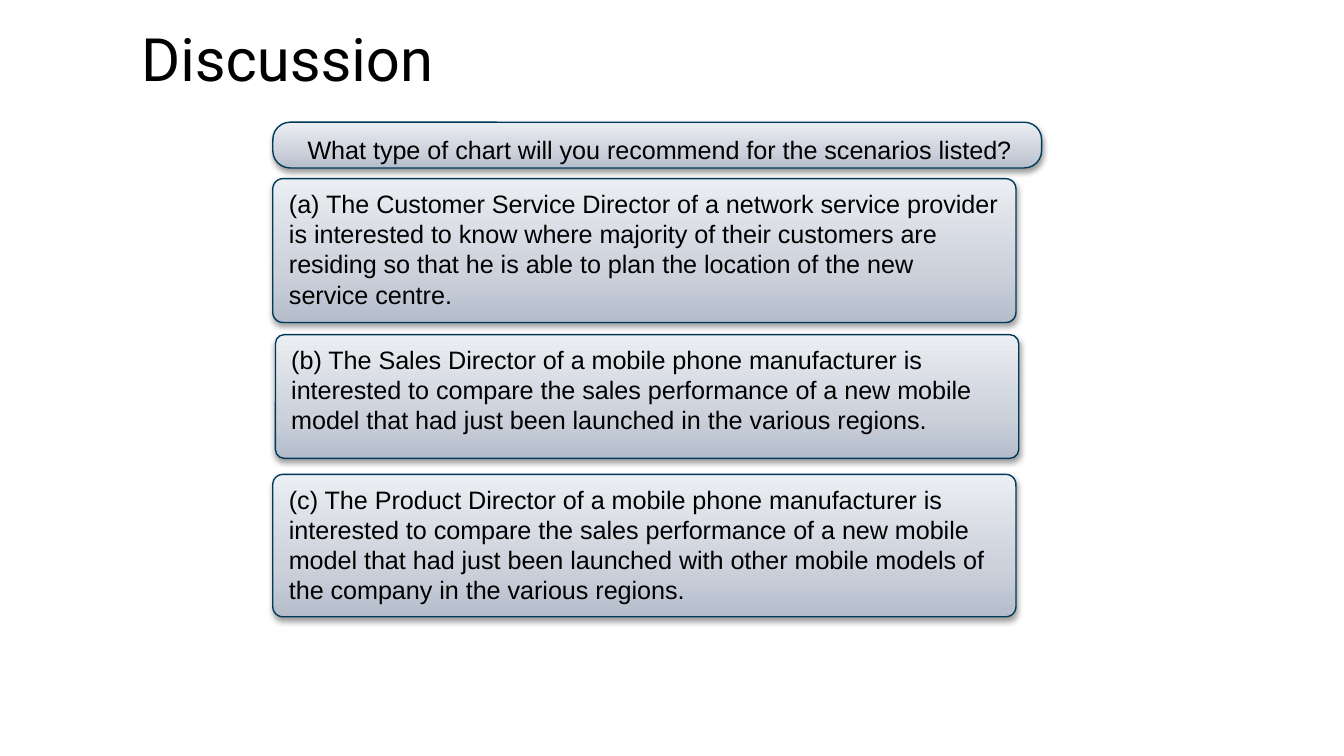
import copy

import pptx
import pptx.dml.color
import pptx.enum.shapes
import pptx.enum.text
import pptx.oxml
import pptx.oxml.ns
import pptx.util
from pptx.util import Inches

THEME = {
    "text": pptx.dml.color.RGBColor.from_string("000000"),
    "outline": pptx.dml.color.RGBColor.from_string("003A5A"),
    "gradient": [(0, "B5BDCC"), (0.35, "CCD1DB"), (1, "EBEEF2")],
    "title_font": "Roboto",
    "body_font": "Arial",
    "title_size": pptx.util.Pt(32),
    "body_size": pptx.util.Pt(13.5),
}

SHADOW = (
    f'<a:outerShdw {pptx.oxml.ns.nsdecls("a")} blurRad="39370" dist="20320" '
    'dir="5400000" rotWithShape="0"><a:srgbClr val="000000">'
    '<a:alpha val="38000"/></a:srgbClr></a:outerShdw>'
)


def add_panel(left, top, width, height, rounding):
    """Add a rounded panel with the shared gradient, outline and soft shadow."""
    panel = slide.shapes.add_shape(
        pptx.enum.shapes.MSO_SHAPE.ROUNDED_RECTANGLE,
        Inches(left), Inches(top), Inches(width), Inches(height))
    panel.adjustments[0] = rounding
    panel.line.color.rgb = THEME["outline"]
    panel.line.width = pptx.util.Pt(0.75)

    panel.fill.gradient()
    panel.fill.gradient_angle = 90
    properties = panel.element.spPr
    stop_list = properties.find(".//" + pptx.oxml.ns.qn("a:gsLst"))
    stop_list.append(copy.deepcopy(stop_list[-1]))
    for stop, (position, color) in zip(panel.fill.gradient_stops, THEME["gradient"]):
        stop.position = position
        stop.color.rgb = pptx.dml.color.RGBColor.from_string(color)

    panel.shadow.inherit = False
    effects = properties.find(pptx.oxml.ns.qn("a:effectLst"))
    effects.append(pptx.oxml.parse_xml(SHADOW))
    return panel


def set_text(shape, text, font_name, size, anchor):
    frame = shape.text_frame
    frame.text = text
    frame.word_wrap = True
    frame.vertical_anchor = anchor
    paragraph = frame.paragraphs[0]
    paragraph.alignment = pptx.enum.text.PP_ALIGN.LEFT
    font = paragraph.runs[0].font
    font.name = font_name
    font.size = size
    font.color.rgb = THEME["text"]


presentation = pptx.Presentation()
presentation.slide_width = Inches(10)
presentation.slide_height = Inches(10 * 9 / 16)
slide = presentation.slides.add_slide(presentation.slide_layouts[5])

# Question banner: its text sits in a box of its own
add_panel(2.03, 0.91, 5.72, 0.34, 0.377)
question = slide.shapes.add_textbox(Inches(2.19), Inches(0.95), Inches(6.88), Inches(0.78))
set_text(question, "What type of chart will you recommend for the scenarios listed?",
         THEME["body_font"], THEME["body_size"], pptx.enum.text.MSO_ANCHOR.TOP)

# Scenarios: left, top, height, text
scenarios = [
    (2.03, 1.33, 1.07,
     "(a) The Customer Service Director of a network service provider is interested "
     "to know where majority of their customers are residing so that he is able to "
     "plan the location of the new service centre."),
    (2.05, 2.49, 0.92,
     "(b) The Sales Director of a mobile phone manufacturer is interested to compare "
     "the sales performance of a new mobile model that had just been launched in the "
     "various regions."),
    (2.03, 3.53, 1.06,
     "(c) The Product Director of a mobile phone manufacturer is interested to compare "
     "the sales performance of a new mobile model that had just been launched with "
     "other mobile models of the company in the various regions."),
]
for left, top, height, text in scenarios:
    scenario = add_panel(left, top, 5.53, height, 0.071)
    set_text(scenario, text, THEME["body_font"], THEME["body_size"],
             pptx.enum.text.MSO_ANCHOR.TOP)

title = slide.shapes.title
title.left, title.top = Inches(0.95), Inches(-0.02)
title.width, title.height = Inches(9.37), Inches(0.9)
set_text(title, "Discussion", THEME["title_font"], THEME["title_size"],
         pptx.enum.text.MSO_ANCHOR.MIDDLE)

presentation.save("out.pptx")
